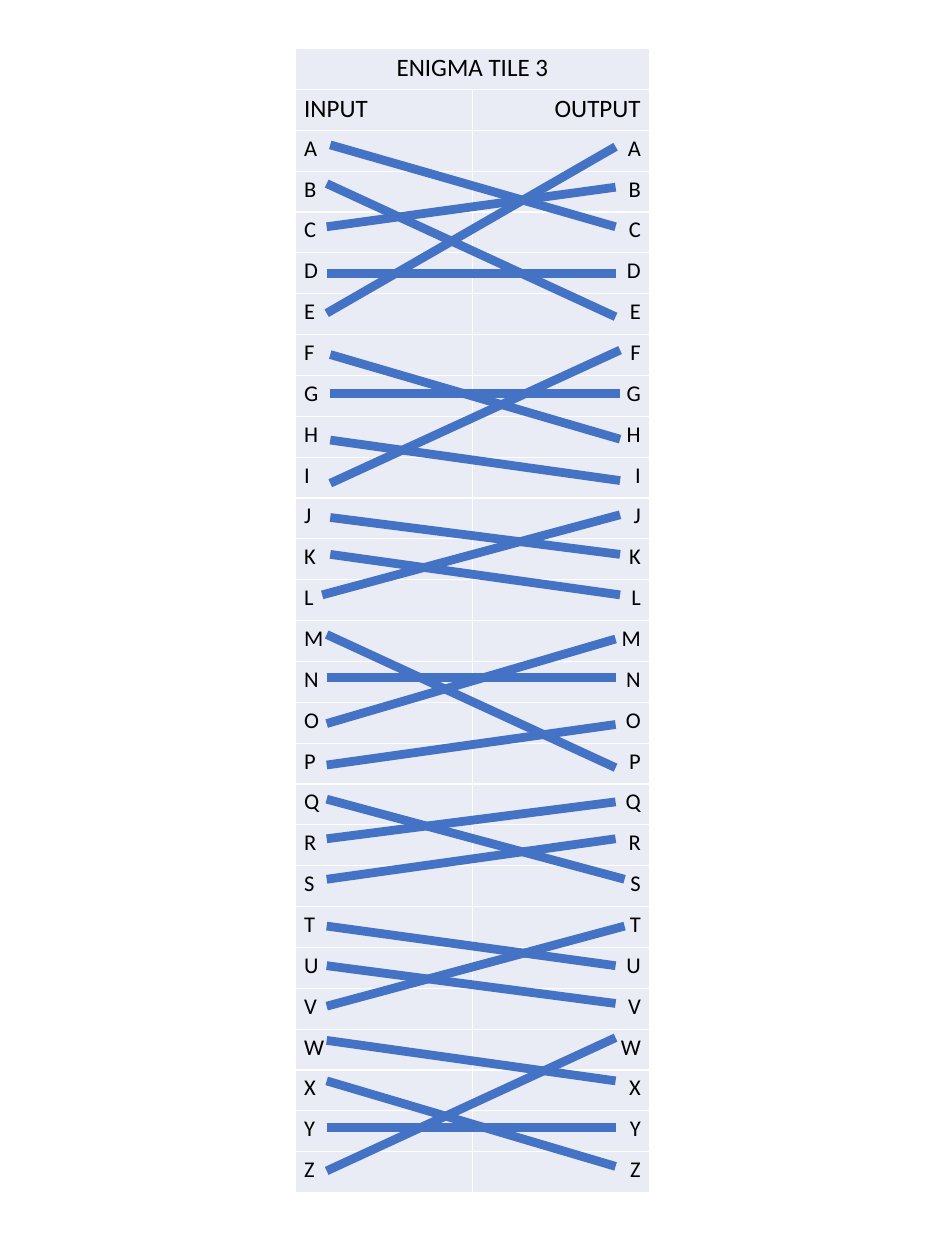
from pptx import Presentation
from pptx.dml.color import RGBColor
from pptx.enum.shapes import MSO_CONNECTOR
from pptx.enum.text import PP_ALIGN
from pptx.oxml import parse_xml
from pptx.oxml.ns import nsdecls
from pptx.util import Inches, Pt

BLACK = RGBColor(0x00, 0x00, 0x00)
WHITE = RGBColor(0xFF, 0xFF, 0xFF)
PALE = RGBColor(0xE9, 0xEB, 0xF5)
BLUE = RGBColor(0x44, 0x72, 0xC4)

LETTERS = "ABCDEFGHIJKLMNOPQRSTUVWXYZ"

TOP, MID, LOW = (0.05, 3.26), (0.09, 3.31), (0.05, 3.26)
WIRES = [
    (LOW, [(11.4, 9.92), (9.95, 10.4), (10.92, 10.92), (8.68, 9.12),
           (9.12, 9.54), (10.4, 11.35), (5.44, 6.92), (6.89, 6.44),
           (5.92, 5.92), (8.16, 7.71), (7.71, 7.3), (6.43, 5.49)]),
    ((0.05, 3.36), [(9.57, 8.68), (7.27, 8.16)]),
    (MID, [(3.76, 2.28), (3.28, 3.73), (2.76, 2.76), (4.55, 5),
           (4.14, 4.55), (2.33, 3.27)]),
    ((0, 3.31), [(5, 4.11)]),
    (TOP, [(0.43, 1.91), (0.91, 0.47), (1.43, 1.43), (1.87, 0.02)]),
    ((0.09, 3.26), [(0, 0.91)]),
]


def put_text(cell, text, size=18, align=PP_ALIGN.LEFT, color=BLACK):
    """Write formatted text into a table cell."""
    para = cell.text_frame.paragraphs[0]
    para.alignment = align
    run = para.add_run()
    run.text = text
    run.font.size = Pt(size)
    run.font.name = "Calibri"
    run.font.color.rgb = color


def style_cell(cell):
    """Give a cell thin white borders and a pale fill."""
    props = cell._tc.get_or_add_tcPr()
    for side in "LRTB":
        props.append(parse_xml(
            f'<a:ln{side} {nsdecls("a")} w="{Pt(1)}"><a:solidFill>'
            f'<a:srgbClr val="{WHITE}"/></a:solidFill></a:ln{side}>'))
    cell.fill.solid()
    cell.fill.fore_color.rgb = PALE


def add_grid(slide, left, top, width, height):
    """Place the table of input and output letters."""
    rows = [("INPUT", "OUTPUT", 20)] + [(c, c, 18) for c in LETTERS]
    count = len(rows) + 1
    table = slide.shapes.add_table(
        count, 2, Inches(left), Inches(top), Inches(width), Inches(height)).table
    table.first_row = table.horz_banding = False
    for row in table.rows:
        row.height = Inches(height / count)
        for cell in row.cells:
            style_cell(cell)
    table.cell(0, 0).merge(table.cell(0, 1))
    put_text(table.cell(0, 0), "ENIGMA TILE 3", size=20, align=PP_ALIGN.CENTER)
    for num, (inlet, outlet, size) in enumerate(rows, 1):
        put_text(table.cell(num, 0), inlet, size=size)
        put_text(table.cell(num, 1), outlet, size=size, align=PP_ALIGN.RIGHT)


def add_wires(slide, left, top):
    """Draw the grouped wires that join inputs to outputs."""
    group = slide.shapes.add_group_shape()
    for (start, end), pairs in WIRES:
        for inlet, outlet in pairs:
            wire = group.shapes.add_connector(
                MSO_CONNECTOR.STRAIGHT,
                Inches(left + start), Inches(top + inlet),
                Inches(left + end), Inches(top + outlet))
            wire.line.color.rgb = BLUE
            wire.line.width = Pt(7)
            wire._element.spPr.append(
                parse_xml(f'<a:effectLst {nsdecls("a")}/>'))


def main():
    """Build and save the slide."""
    deck = Presentation()
    deck.slide_width, deck.slide_height = Inches(10.5), Inches(14)
    slide = deck.slides.add_slide(deck.slide_layouts[6])
    add_grid(slide, 3.28, 0.54, 3.94, 12.72)
    add_wires(slide, 3.58, 1.61)
    deck.save("out.pptx")


if __name__ == "__main__":
    main()
